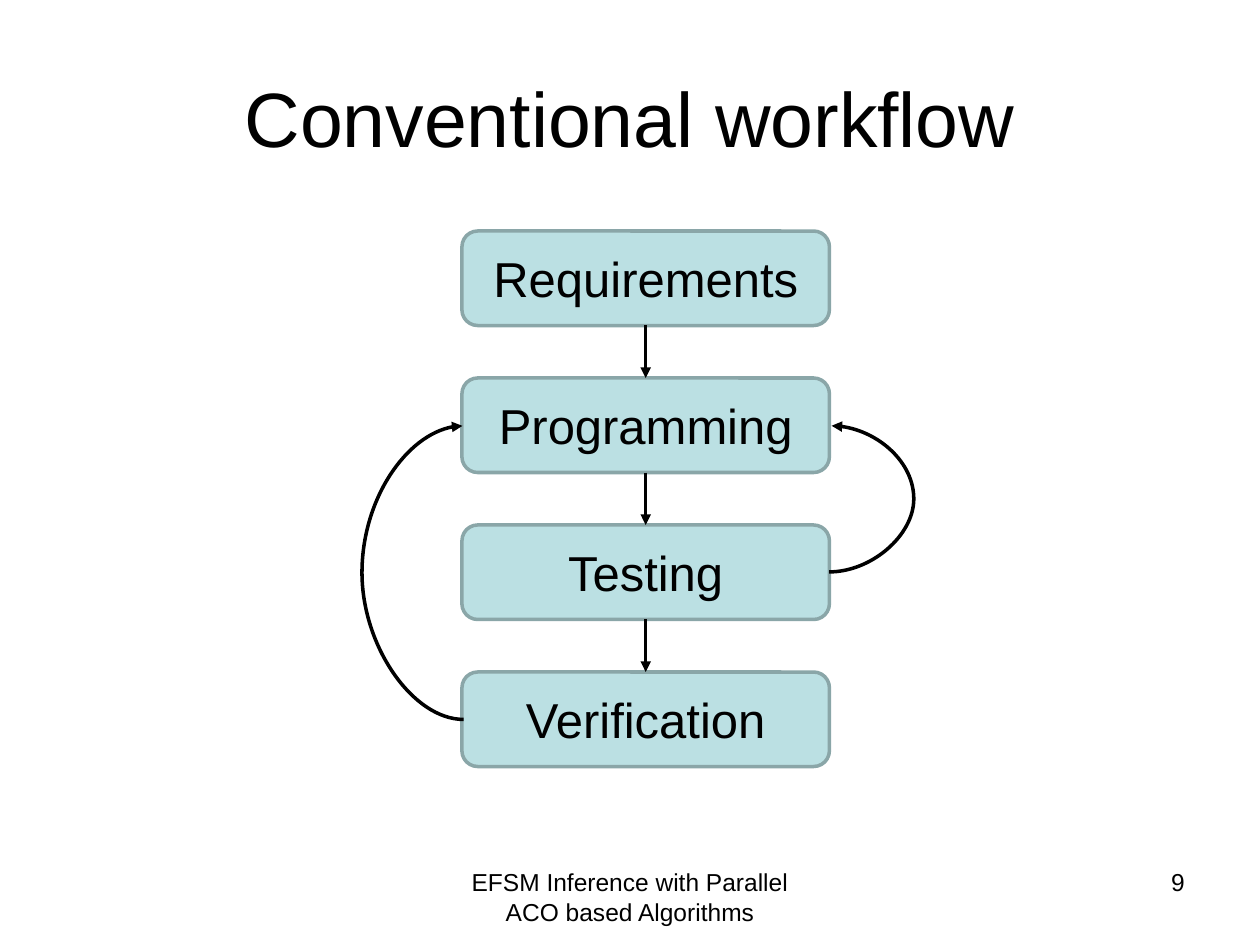
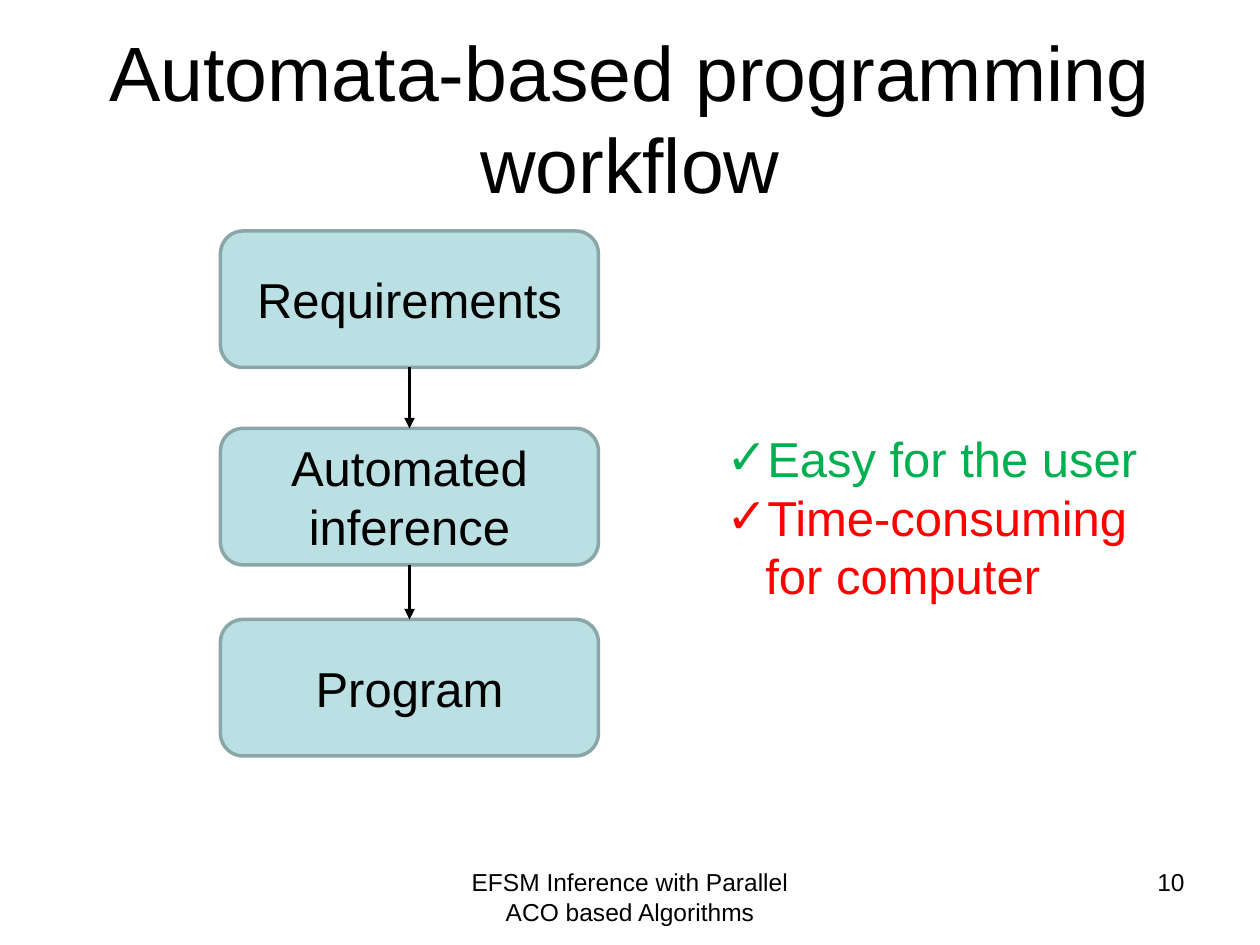
from lxml import etree
from pptx import Presentation
from pptx.dml.color import RGBColor
from pptx.enum.shapes import MSO_CONNECTOR as LINE, MSO_SHAPE as SHAPE
from pptx.enum.text import MSO_ANCHOR as ANCHOR, PP_ALIGN as ALIGN
from pptx.oxml.ns import qn
from pptx.util import Inches, Pt

BLACK, PALE_TEAL, GREY_TEAL = "000000", "BBE0E3", "8AA6A8"
GREEN, RED = "00B050", "FF0000"
FOOTER = "EFSM Inference with Parallel ACO based Algorithms"
FIRST_ROW = 22


def grid(*cells):
    """Turn grid cells, twelve to the inch, into lengths."""
    return [Inches(cell / 12) for cell in cells]


def write(shape, lines, size=28, color=BLACK, align=ALIGN.CENTER, anchor=ANCHOR.MIDDLE, bullet=None):
    """Fill a shape with lines, each a string or a (string, colour) pair."""
    frame = shape.text_frame
    frame.word_wrap = True
    frame.vertical_anchor = anchor
    for index, line in enumerate(lines):
        text, hue = line if isinstance(line, tuple) else (line, color)
        para = frame.add_paragraph() if index else frame.paragraphs[0]
        para.alignment = align
        span = para.add_run()
        span.text = text
        span.font.name, span.font.size = "Arial", Pt(size)
        span.font.color.rgb = RGBColor.from_string(hue)
        if bullet:
            properties = para._p.get_or_add_pPr()
            properties.set("marL", str(Inches(0.31)))
            properties.set("indent", str(Inches(-0.31)))
            etree.SubElement(properties, qn("a:buFont"), typeface="Arial")
            etree.SubElement(properties, qn("a:buChar"), char=bullet)


deck = Presentation()
deck.slide_width, deck.slide_height = Inches(10), Inches(7.5)

# Each workflow: title, page number, box left, width and height, then (step, top row)
workflows = [
    ("Conventional workflow", 9, 44, 35, 9,
     [(step, FIRST_ROW + 14 * row) for row, step in
      enumerate(["Requirements", "Programming", "Testing", "Verification"])]),
    ("Automata-based programming workflow", 10, 21, 36, 13,
     [("Requirements", FIRST_ROW), ("Automated inference", 40.8), ("Program", 59)]),
]

pages, arrows = [], []
for title, number, left, width, height, steps in workflows:
    page = deck.slides.add_slide(deck.slide_layouts[5])
    pages.append(page)
    heading = page.shapes.title
    heading.left, heading.top, heading.width, heading.height = grid(6, 3.6, 108, 15)
    write(heading, [title], size=44)

    footer = page.shapes.add_textbox(*grid(41, 82, 38, 6.25))
    write(footer, [FOOTER], size=14, anchor=ANCHOR.TOP)
    page_number = page.shapes.add_textbox(*grid(86, 82, 28, 6.25))
    write(page_number, [str(number)], size=14, align=ALIGN.RIGHT, anchor=ANCHOR.TOP)

    for step, top in steps:
        box = page.shapes.add_shape(SHAPE.ROUNDED_RECTANGLE, *grid(left, top, width, height))
        box.shadow.inherit = False
        box.fill.solid()
        box.fill.fore_color.rgb = RGBColor.from_string(PALE_TEAL)
        box.line.color.rgb = RGBColor.from_string(GREY_TEAL)
        box.line.width = Pt(2)
        write(box, [step])

    center = left + width / 2
    for (_, top), (_, next_top) in zip(steps, steps[1:]):
        arrows.append(page.shapes.add_connector(
            LINE.STRAIGHT, *grid(center, top + height, center, next_top)))

# Loops back to programming: ends, turn in degrees, bulge as a multiple of the width
loops = [
    ((3.67, 3.38, 3.68, 5.71), 180, 82),
    ((6.58, 4.54, 6.60, 3.38), 0, 33.5),
]
for ends, turn, bulge in loops:
    loop = pages[0].shapes.add_connector(LINE.CURVE, *[Inches(end) for end in ends])
    arrows.append(loop)
    properties = loop._element.spPr
    if turn:
        properties.find(qn("a:xfrm")).set("rot", str(turn * 60000))
    adjustments = properties.find(qn("a:prstGeom")).find(qn("a:avLst"))
    etree.SubElement(adjustments, qn("a:gd"), name="adj1", fmla=f"val {int(bulge * 100000)}")

for arrow in arrows:
    arrow.line.color.rgb = RGBColor.from_string(BLACK)
    arrow.line.width = Pt(2)
    etree.SubElement(arrow.line._get_or_add_ln(), qn("a:tailEnd"), type="triangle")
    etree.SubElement(arrow._element.spPr, qn("a:effectLst"))

remarks = pages[1].shapes.add_textbox(*grid(68, 40.2, 47, 18.1))
write(remarks, [("Easy for the user", GREEN), ("Time-consuming for computer", RED)],
      align=ALIGN.LEFT, anchor=ANCHOR.TOP, bullet="✓")

deck.save("out.pptx")
